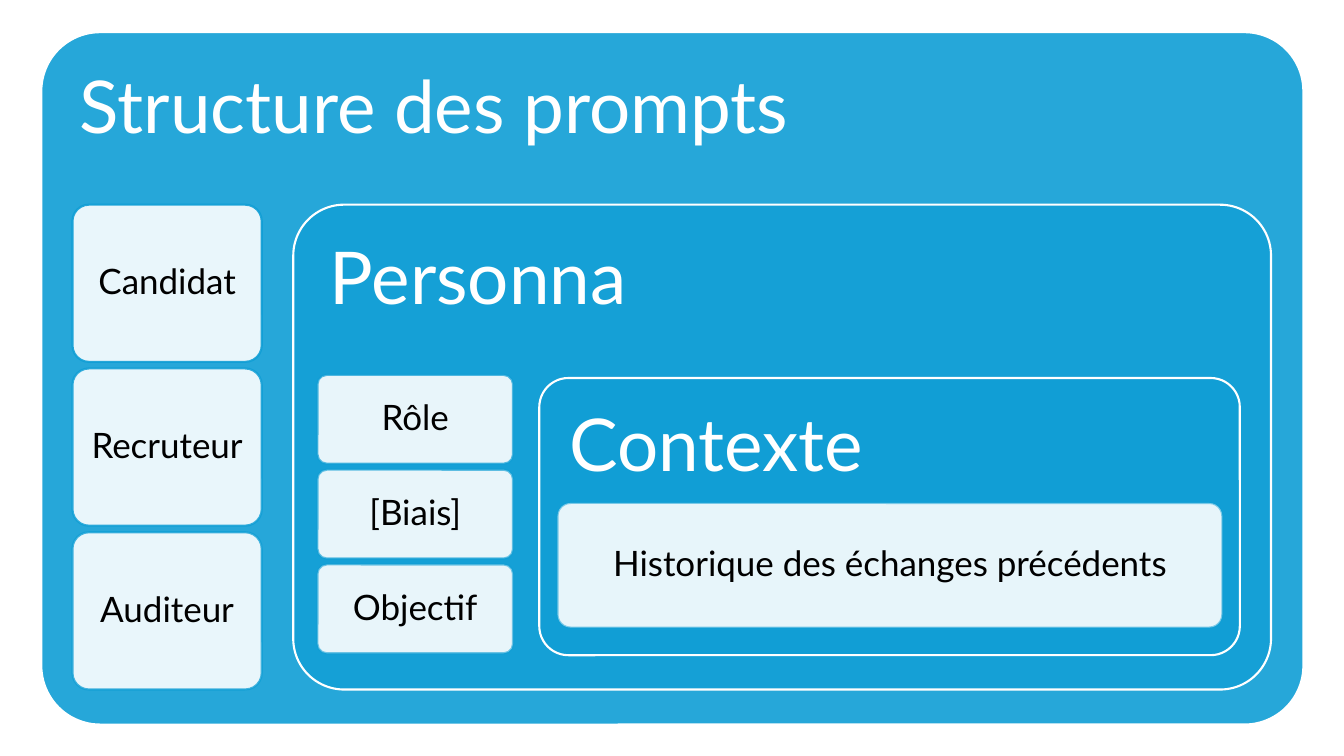
from lxml.etree import SubElement
from pptx import Presentation
from pptx.dml.color import RGBColor
from pptx.enum.shapes import MSO_SHAPE as Shape
from pptx.enum.text import MSO_ANCHOR as Anchor, MSO_AUTO_SIZE as AutoSize, PP_ALIGN as Align
from pptx.oxml.ns import qn
from pptx.util import Pt

BLUE = RGBColor(0x0F, 0x9E, 0xD5)
WHITE = RGBColor(0xFF, 0xFF, 0xFF)
BLACK = RGBColor(0, 0, 0)

HEADING = {"size": 52, "color": WHITE, "align": Align.LEFT, "anchor": Anchor.TOP, "inset": 15.6}
LABEL = {"size": 25, "color": BLACK, "align": Align.CENTER, "anchor": Anchor.MIDDLE, "inset": 7}


def set_alpha(fill_parent, percent):
    """Make the solid colour directly under fill_parent translucent."""
    color = fill_parent.find(qn("a:solidFill"))[0]
    SubElement(color, qn("a:alpha")).set("val", str(int(percent * 1000)))


def write(shape, wording, style):
    frame = shape.text_frame
    settings = {"word_wrap": True, "auto_size": AutoSize.NONE, "vertical_anchor": style["anchor"]}
    for side in ("left", "top", "right", "bottom"):
        settings[f"margin_{side}"] = Pt(style["inset"])
    for name, value in settings.items():
        setattr(frame, name, value)
    paragraph = frame.paragraphs[0]
    paragraph.text = wording
    paragraph.alignment = style["align"]
    paragraph.line_spacing = 0.9
    for name, value in {"name": "Lato", "size": Pt(style["size"])}.items():
        setattr(paragraph.font, name, value)
    paragraph.font.color.rgb = style["color"]


def add_rounded(slide, box, radius, fill, fill_alpha, line, line_alpha=100):
    rounded = slide.shapes.add_shape(Shape.ROUNDED_RECTANGLE, *map(Pt, box))
    rounded.adjustments[0] = radius
    rounded.shadow.inherit = False
    rounded.fill.solid()
    rounded.fill.fore_color.rgb = fill
    rounded.line.color.rgb = line
    rounded.line.width = Pt(1.5)
    properties = rounded._element.spPr
    set_alpha(properties, fill_alpha)
    set_alpha(properties.find(qn("a:ln")), line_alpha)
    return rounded


def add_cards(slide, box, labels, gap, line_alpha):
    """Stack equal cards so that they fill the box; outlines fade downwards."""
    left, top, width, height = box
    card_height = (height - gap * (len(labels) - 1)) / len(labels)
    for row, label in enumerate(labels):
        card_box = (left, top + row * (card_height + gap), width, card_height)
        card = add_rounded(slide, card_box, 0.105, WHITE, 90, BLUE, line_alpha - 6.5 * row)
        write(card, label, LABEL)


def add_structure(slide, box):
    left, top, width, height = box
    panel = add_rounded(slide, box, 0.085, BLUE, 90, WHITE)
    # Title sits on the panel
    title = slide.shapes.title
    place = {"left": left + 12, "top": top + 12, "width": width - 24, "height": 90}
    for name, value in place.items():
        setattr(title, name, Pt(value))
    write(title, "Structure des prompts", HEADING)
    panel._element.addnext(title._element)
    # Agents
    add_cards(slide, (left + 22.3, top + 123.2, 135.2, 346.3),
              ["Candidat", "Recruteur", "Auditeur"], 4.7, 90)
    add_persona(slide, (left + 180, top + 123.2, 698.4, 346.3))


def add_persona(slide, box):
    left, top, width, height = box
    panel = add_rounded(slide, box, 0.105, BLUE, 70, WHITE)
    write(panel, "Personna", HEADING)
    # Persona traits
    add_cards(slide, (left + 17.3, top + 121.6, 139.7, 198.8),
              ["Rôle", "[Biais]", "Objectif"], 4.3, 70)
    add_context(slide, (left + 175.7, top + 123.8, 500.4, 198))


def add_context(slide, box):
    left, top, width, height = box
    panel = add_rounded(slide, box, 0.105, BLUE, 50, WHITE)
    write(panel, "Contexte", HEADING)
    # History
    add_cards(slide, (left + 13, top + 89.3, width - 25.5, 89),
              ["Historique des échanges précédents"], 0, 50)


def main():
    deck = Presentation()
    deck.slide_width, deck.slide_height = Pt(960), Pt(540)
    slide = deck.slides.add_slide(deck.slide_layouts[5])
    add_structure(slide, (29.5, 23, 901.5, 494.6))
    deck.save("out.pptx")


if __name__ == "__main__":
    main()
